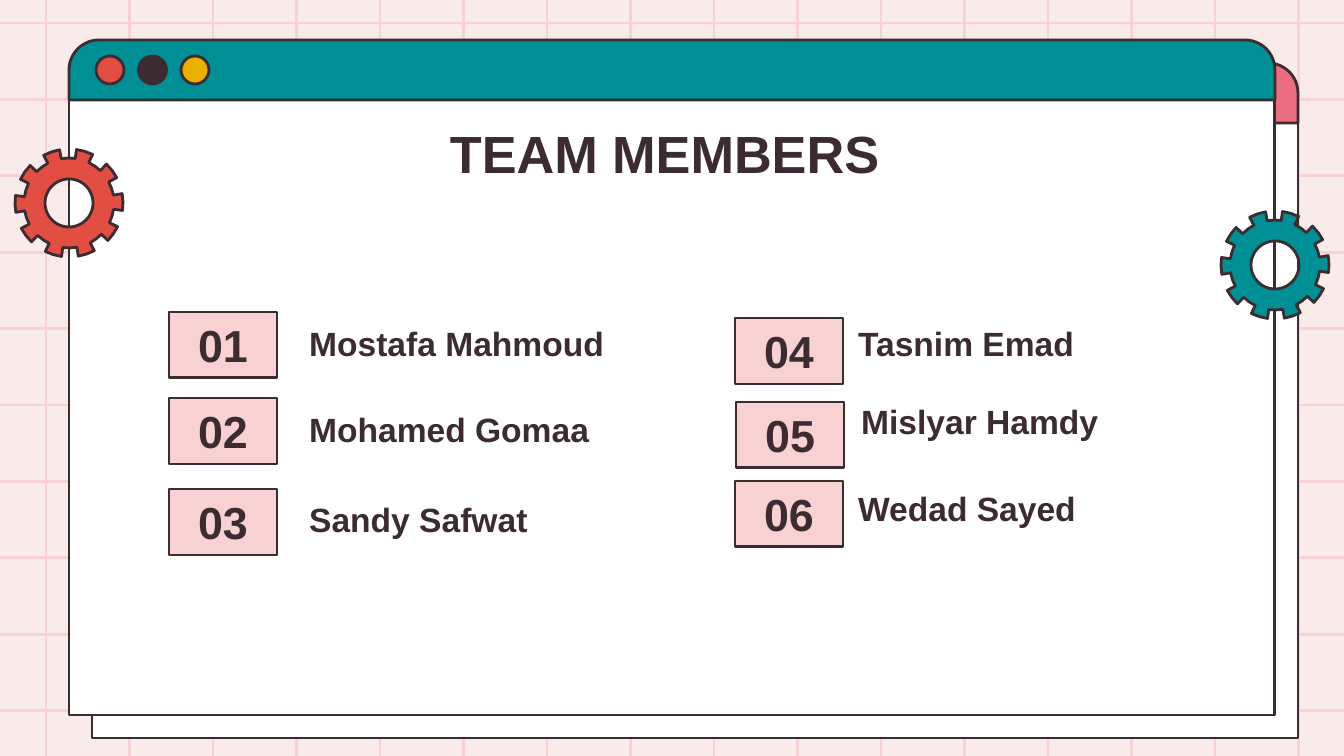
import math

from lxml import etree
from pptx import Presentation
from pptx import util as u
from pptx.dml.color import RGBColor
from pptx.enum import shapes, text
from pptx.oxml import ns

TITLE = "TEAM MEMBERS"
# number, badge (left, top), name, name box (left, top)
MEMBERS = [
    ("01", (169, 312), "Mostafa Mahmoud", (296, 317)),
    ("02", (169, 398), "Mohamed Gomaa", (296, 403)),
    ("03", (169, 489), "Sandy Safwat", (296, 493)),
    ("04", (735, 318), "Tasnim Emad", (845, 317)),
    ("05", (736, 402), "Mislyar Hamdy", (848, 395)),
    ("06", (735, 481), "Wedad Sayed", (845, 482)),
]

INK = RGBColor(0x3C, 0x2C, 0x31)
PAPER = RGBColor(0xFA, 0xEB, 0xEB)
BLUSH = RGBColor(0xF8, 0xD2, 0xD2)
WHITE = RGBColor(0xFF, 0xFF, 0xFF)
PINK = RGBColor(0xEB, 0x6E, 0x80)
TEAL = RGBColor(0x00, 0x8F, 0x95)
RED = RGBColor(0xE2, 0x4E, 0x42)
YELLOW = RGBColor(0xE9, 0xB0, 0x00)

WIDTH, HEIGHT = 1344, 756
FONT = "Arial"
STROKE = u.Pt(1.5)
PX = u.Inches(10) / WIDTH

# windows, back to front: (left, top, bar colour)
WINDOWS = [(92, 63, PINK), (69, 40, TEAL)]
WINDOW_W, BAR_H, BODY_H = 1206, 60, 615
# gears: (centre x, centre y, colour)
GEARS = [(69, 203, RED), (1275, 265, TEAL)]
TEETH, TIP_R, ROOT_R, HOLE_R = 10, 54, 45, 24


def emu(*lengths):
    return [round(n * PX) for n in lengths]


def paint(sp, fill):
    sp.fill.solid()
    sp.fill.fore_color.rgb = fill
    sp.line.color.rgb = INK
    sp.line.width = STROKE
    sp.shadow.inherit = False


def add_box(kind, left, top, width, height, fill):
    sp = slide.shapes.add_shape(kind, *emu(left, top, width, height))
    paint(sp, fill)
    return sp


def write(sp, words, size, align, anchor):
    tf = sp.text_frame
    tf.text = words
    tf.word_wrap = True
    tf.auto_size = text.MSO_AUTO_SIZE.NONE
    tf.vertical_anchor = anchor
    tf.margin_left = tf.margin_right = tf.margin_top = tf.margin_bottom = u.Inches(0.1)
    p = tf.paragraphs[0]
    p.alignment = align
    font = p.runs[0].font
    font.name, font.size, font.bold = FONT, u.Pt(size), True
    font.color.rgb = INK


def add_grid_line(x1, y1, x2, y2):
    line = slide.shapes.add_connector(shapes.MSO_CONNECTOR.STRAIGHT, *emu(x1, y1, x2, y2))
    line.line.color.rgb = BLUSH
    line.line.width = STROKE
    etree.SubElement(line.element.spPr, ns.qn("a:effectLst"))


def add_window(left, top, bar):
    body_top = top + BAR_H
    add_box(shapes.MSO_SHAPE.RECTANGLE, left, body_top, WINDOW_W, BODY_H, WHITE)
    sp = add_box(shapes.MSO_SHAPE.ROUND_2_SAME_RECTANGLE, left, top, WINDOW_W, BAR_H, bar)
    sp.adjustments[0] = 0.5
    for i, colour in enumerate((RED, INK, YELLOW)):
        add_box(shapes.MSO_SHAPE.OVAL, left + 27 + 42.5 * i, top + 16, 28, 28, colour)


def add_gear(cx, cy, colour):
    def point(radius, degrees):
        a = math.radians(degrees)
        return emu(cx + radius * math.cos(a), cy + radius * math.sin(a))

    step = 360 / TEETH
    outline = []
    for i in range(TEETH):
        middle = i * step - 1
        outline += [point(TIP_R, middle + d) for d in (-9, 0, 9)]
        outline += [point(ROOT_R, middle + d) for d in (9, 18, 27)]
    hole = [point(HOLE_R, -d) for d in range(0, 360, 6)]

    pen = slide.shapes.build_freeform(*outline[0])
    pen.add_line_segments(outline[1:], close=True)
    pen.move_to(*hole[0])
    pen.add_line_segments(hole[1:], close=True)
    paint(pen.convert_to_shape(), colour)


prs = Presentation()
prs.slide_width, prs.slide_height = emu(WIDTH, HEIGHT)
slide = prs.slides.add_slide(prs.slide_layouts[5])
slide.background.fill.solid()
slide.background.fill.fore_color.rgb = PAPER

for i in range(16):
    x = 46 + 83.5 * i
    add_grid_line(x, 0, x, HEIGHT)
for i in range(10):
    y = 23 + 76.4 * i
    add_grid_line(0, y, WIDTH, y)

for window in WINDOWS:
    add_window(*window)

title = slide.shapes.title
title.left, title.top, title.width, title.height = emu(124, 108, 1081, 85)
write(title, TITLE, 28, text.PP_ALIGN.CENTER, text.MSO_ANCHOR.TOP)
title.element.getparent().append(title.element)  # bring in front of the windows

for number, badge_at, name, name_at in MEMBERS:
    badge = add_box(shapes.MSO_SHAPE.RECTANGLE, *badge_at, 108, 66, BLUSH)
    write(badge, number, 24, text.PP_ALIGN.CENTER, text.MSO_ANCHOR.MIDDLE)
    label = slide.shapes.add_textbox(*emu(*name_at, 421, 60))
    write(label, name, 18, text.PP_ALIGN.LEFT, text.MSO_ANCHOR.BOTTOM)

for gear in GEARS:
    add_gear(*gear)

prs.save("out.pptx")
